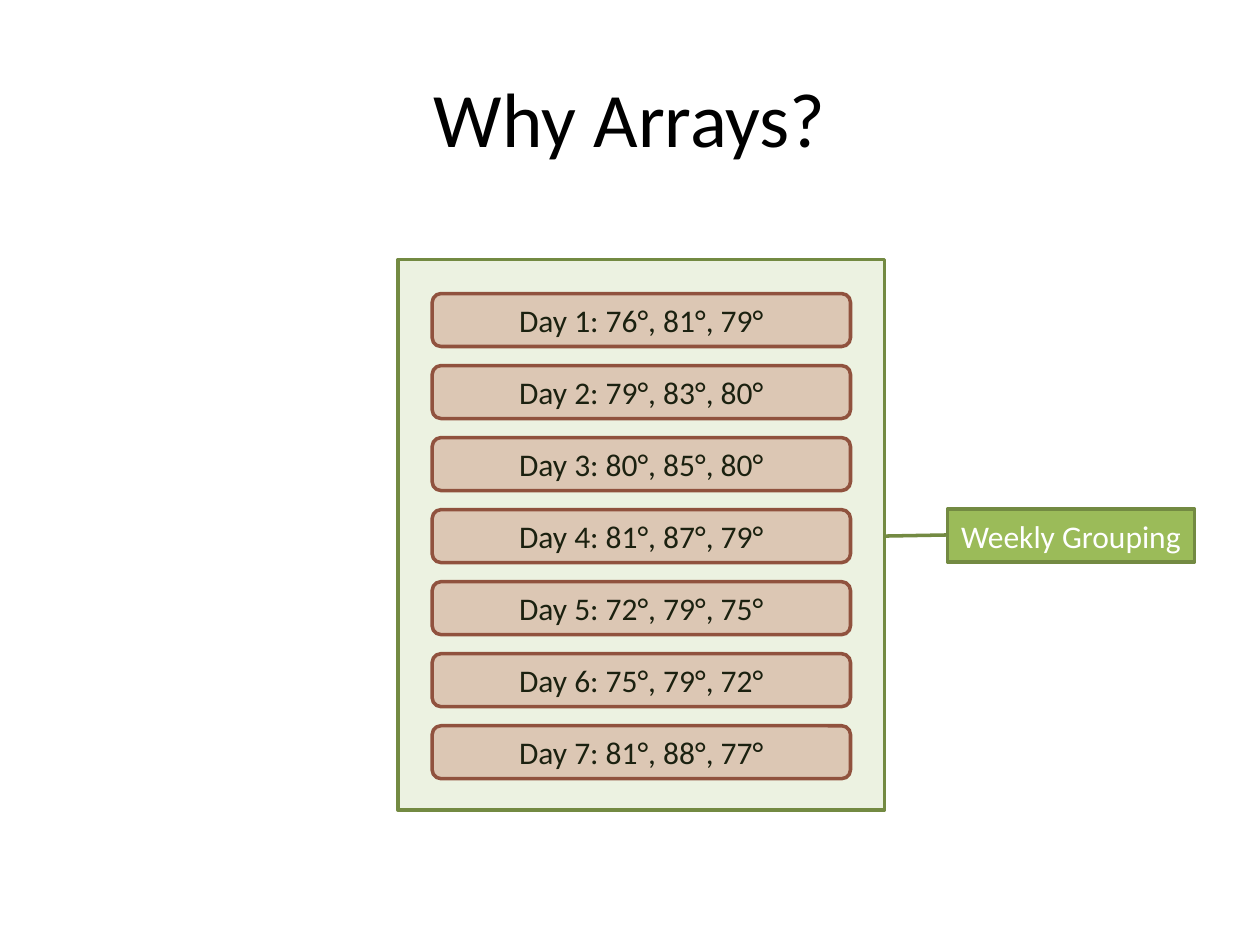
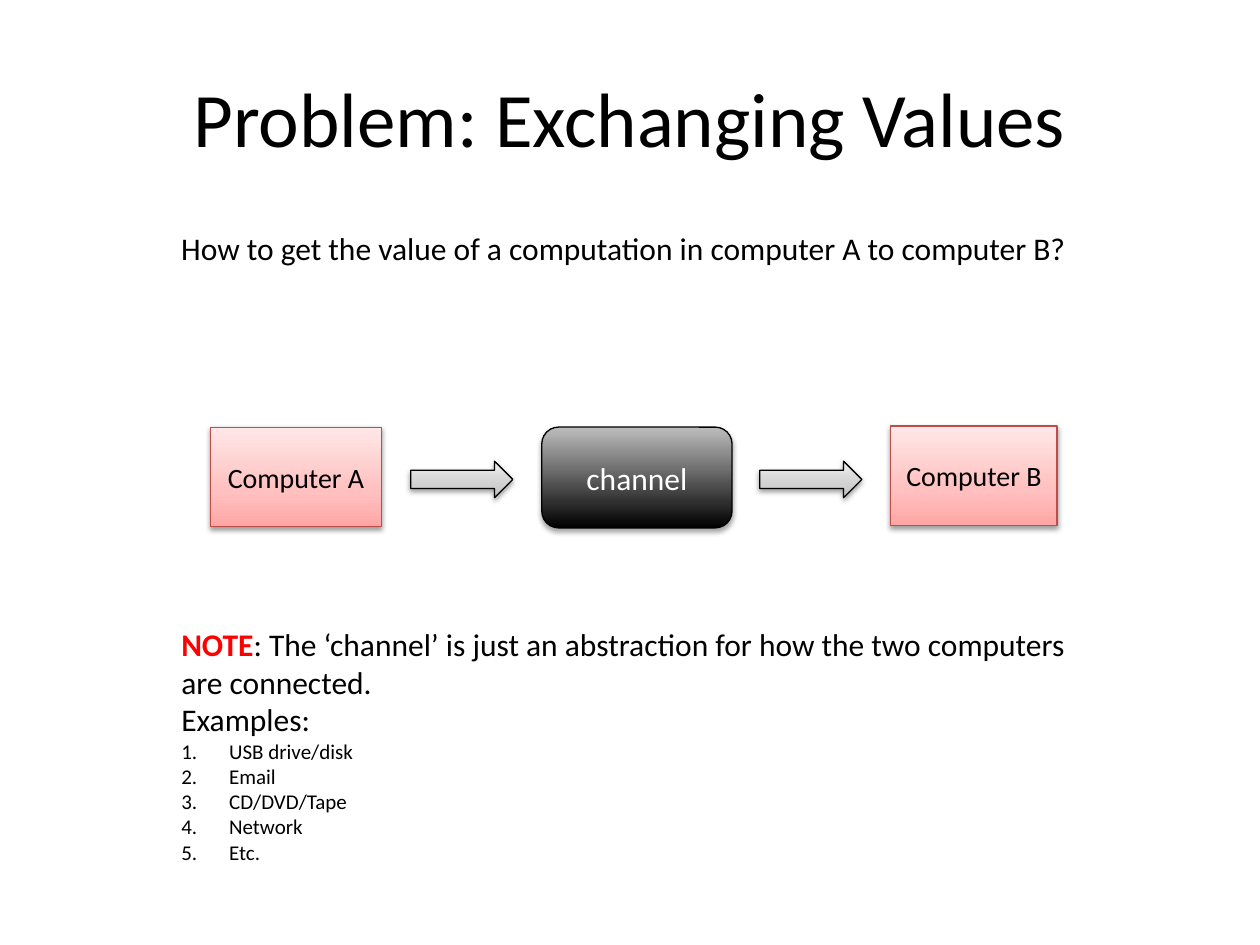
from copy import deepcopy
from dataclasses import dataclass, field
from typing import Any, Optional

from lxml.etree import SubElement
from pptx import Presentation
from pptx.dml.color import RGBColor
from pptx.enum.shapes import MSO_SHAPE as Preset
from pptx.enum.text import MSO_ANCHOR as Anchor, PP_ALIGN as Align
from pptx.oxml.ns import qn
from pptx.shapes.autoshape import Shape
from pptx.slide import Slide
from pptx.text.text import TextFrame
from pptx.util import Emu, Inches, Pt

FONT = "Calibri"
COLORS = {
    "black": "000000", "white": "FFFFFF", "note": "FF0000",
    "green": "9BBB59", "green_line": "738A42",
    "red": "C0504D", "red_line": "8E3B39", "computer_line": "BF4C48",
    "rose": "FFA6A5", "light_rose": "FFC0BF", "pale_rose": "FFE7E7",
    "gray": "BDBDBD", "light_gray": "D1D1D1", "pale_gray": "EEEEEE",
}


@dataclass(frozen=True)
class Run:
    text: str
    size: float = 18
    color: str = "black"
    bold: bool = False


@dataclass(frozen=True)
class Style:
    """A shape's look; stops are (percent, colour) pairs from bottom to top."""
    line: str
    line_width: float
    fill: str = ""
    opacity: int = 100
    stops: tuple[tuple[int, str], ...] = ()
    shadow: Optional[tuple[int, float]] = None  # opacity percent, distance in points


@dataclass(frozen=True)
class Box:
    preset: Preset
    place: tuple[float, float, float, float]
    style: Style
    label: Optional[Run] = None
    adjustments: tuple[float, ...] = field(default=())


WEEK = Style("green_line", 2, fill="green", opacity=18)
WEEK_LABEL = Style("green_line", 2, fill="green")
DAY = Style("red_line", 2, fill="red", opacity=30)
COMPUTER = Style("computer_line", 0.75, shadow=(38, 1.6),
                 stops=((0, "rose"), (35, "light_rose"), (100, "pale_rose")))
ARROW = Style("black", 0.75, shadow=(38, 1.6),
              stops=((0, "gray"), (35, "light_gray"), (100, "pale_gray")))
CHANNEL = Style("black", 0.75, shadow=(35, 1.8),
                stops=((0, "black"), (100, "gray")))

TEMPERATURES = [(76, 81, 79), (79, 83, 80), (80, 85, 80), (81, 87, 79),
                (72, 79, 75), (75, 79, 72), (81, 88, 77)]
FIRST_DAY_TOP, LAST_DAY_TOP = 2.33, 5.76
EXAMPLES = ["USB drive/disk", "Email", "CD/DVD/Tape", "Network", "Etc."]


def rgb(name: str) -> RGBColor:
    return RGBColor.from_string(COLORS[name])


def set_values(target: Any, values: dict[str, Any]) -> None:
    for name, value in values.items():
        setattr(target, name, value)


def write(frame: TextFrame, paragraphs: list[list[Run]], align: Align,
          anchor: Anchor, numbered_from: Optional[int] = None) -> None:
    """Fill the frame; paragraphs from numbered_from onward are a numbered list."""
    set_values(frame, {"word_wrap": True, "vertical_anchor": anchor})
    for index, runs in enumerate(paragraphs):
        paragraph = frame.add_paragraph() if index else frame.paragraphs[0]
        paragraph.alignment = align
        if numbered_from is not None and index >= numbered_from:
            properties = paragraph._p.get_or_add_pPr()
            properties.set("marL", str(Inches(0.38)))
            properties.set("indent", str(-Inches(0.38)))
            SubElement(properties, qn("a:buAutoNum"), type="arabicPeriod")
        for item in runs:
            run = paragraph.add_run()
            run.text = item.text
            set_values(run.font, {"name": FONT, "size": Pt(item.size), "bold": item.bold})
            run.font.color.rgb = rgb(item.color)


def add_text(slide: Slide, place: tuple[float, ...], paragraphs: list[list[Run]],
             align: Align = Align.LEFT, anchor: Anchor = Anchor.TOP,
             numbered_from: Optional[int] = None) -> None:
    text_box = slide.shapes.add_textbox(*map(Inches, place))
    write(text_box.text_frame, paragraphs, align, anchor, numbered_from)


def add_titled_slide(presentation: Presentation, title: str) -> Slide:
    slide = presentation.slides.add_slide(presentation.slide_layouts[6])
    add_text(slide, (0.5, 0.3, 9, 1.25), [[Run(title, 44)]], Align.CENTER, Anchor.MIDDLE)
    return slide


def set_alpha(color_element: Any, percent: int) -> None:
    SubElement(color_element, qn("a:alpha"), val=str(percent * 1000))


def paint_gradient(shape: Shape, stops: tuple[tuple[int, str], ...]) -> None:
    shape.fill.gradient()
    shape.fill.gradient_angle = 90
    stop_list = shape._element.spPr.find(".//" + qn("a:gsLst"))
    while len(stop_list) < len(stops):
        stop_list.append(deepcopy(stop_list[0]))
    for stop, (percent, color) in zip(shape.fill.gradient_stops, stops):
        stop.color.rgb = rgb(color)
        stop.position = percent / 100


def add_shadow(shape: Shape, opacity: int, distance: float) -> None:
    effects = shape._element.spPr.find(qn("a:effectLst"))
    shadow = SubElement(effects, qn("a:outerShdw"), blurRad=str(Pt(3.1)),
                        dist=str(Pt(distance)), dir="5400000", rotWithShape="0")
    color = SubElement(shadow, qn("a:srgbClr"), val=COLORS["black"])
    set_alpha(color, opacity)


def add_box(slide: Slide, box: Box) -> None:
    style = box.style
    shape = slide.shapes.add_shape(box.preset, *map(Inches, box.place))
    for index, value in enumerate(box.adjustments):
        shape.adjustments[index] = value
    if style.stops:
        paint_gradient(shape, style.stops)
    else:
        shape.fill.solid()
        shape.fill.fore_color.rgb = rgb(style.fill)
        if style.opacity < 100:
            set_alpha(shape._element.spPr.find(qn("a:solidFill"))[0], style.opacity)
    shape.line.color.rgb = rgb(style.line)
    shape.line.width = Pt(style.line_width)
    shape.shadow.inherit = False
    if style.shadow:
        add_shadow(shape, *style.shadow)
    if box.label:
        write(shape.text_frame, [[box.label]], Align.CENTER, Anchor.MIDDLE)


def add_arrays_slide(presentation: Presentation) -> None:
    slide = add_titled_slide(presentation, "Why Arrays?")
    add_box(slide, Box(Preset.LINE_CALLOUT_1, (7.52, 4.04, 1.96, 0.42), WEEK_LABEL,
                       Run("Weekly Grouping", color="white"), (0.49, 0, 0.51, -0.25)))
    pitch = (LAST_DAY_TOP - FIRST_DAY_TOP) / (len(TEMPERATURES) - 1)
    for index, readings in enumerate(TEMPERATURES):
        values = ", ".join(f"{reading}°" for reading in readings)
        add_box(slide, Box(Preset.ROUNDED_RECTANGLE,
                           (3.43, FIRST_DAY_TOP + index * pitch, 3.32, 0.42),
                           DAY, Run(f"Day {index + 1}: {values}")))
    add_box(slide, Box(Preset.RECTANGLE, (3.16, 2.06, 3.86, 4.37), WEEK))


def add_exchange_slide(presentation: Presentation) -> None:
    slide = add_titled_slide(presentation, "Problem: Exchanging Values")
    add_text(slide, (1.34, 1.77, 7.33, 0.4), [[Run(
        "How to get the value of a computation in computer A to computer B?")]])
    for left in (3.26, 6.03):
        add_box(slide, Box(Preset.RIGHT_ARROW, (left, 3.66, 0.81, 0.29), ARROW))
    add_box(slide, Box(Preset.FLOWCHART_ALTERNATE_PROCESS, (4.3, 3.39, 1.51, 0.8),
                       CHANNEL, Run("channel", color="white")))
    for name, place in (("A", (1.67, 3.39, 1.36, 0.79)), ("B", (7.07, 3.38, 1.32, 0.79))):
        add_box(slide, Box(Preset.RECTANGLE, place, COMPUTER, Run(f"Computer {name}", 16)))
    note = [
        [Run("NOTE", color="note", bold=True),
         Run(": The ‘channel’ is just an abstraction for how the two computers")],
        [Run("are connected.")],
        [Run("Examples:")],
    ]
    examples = [[Run(example, 12)] for example in EXAMPLES]
    add_text(slide, (1.34, 4.91, 7.42, 2.02), note + examples, numbered_from=len(note))


def main() -> None:
    presentation = Presentation()
    set_values(presentation, {"slide_width": Inches(10), "slide_height": Inches(7.5)})
    add_arrays_slide(presentation)
    add_exchange_slide(presentation)
    presentation.save("out.pptx")


if __name__ == "__main__":
    main()
